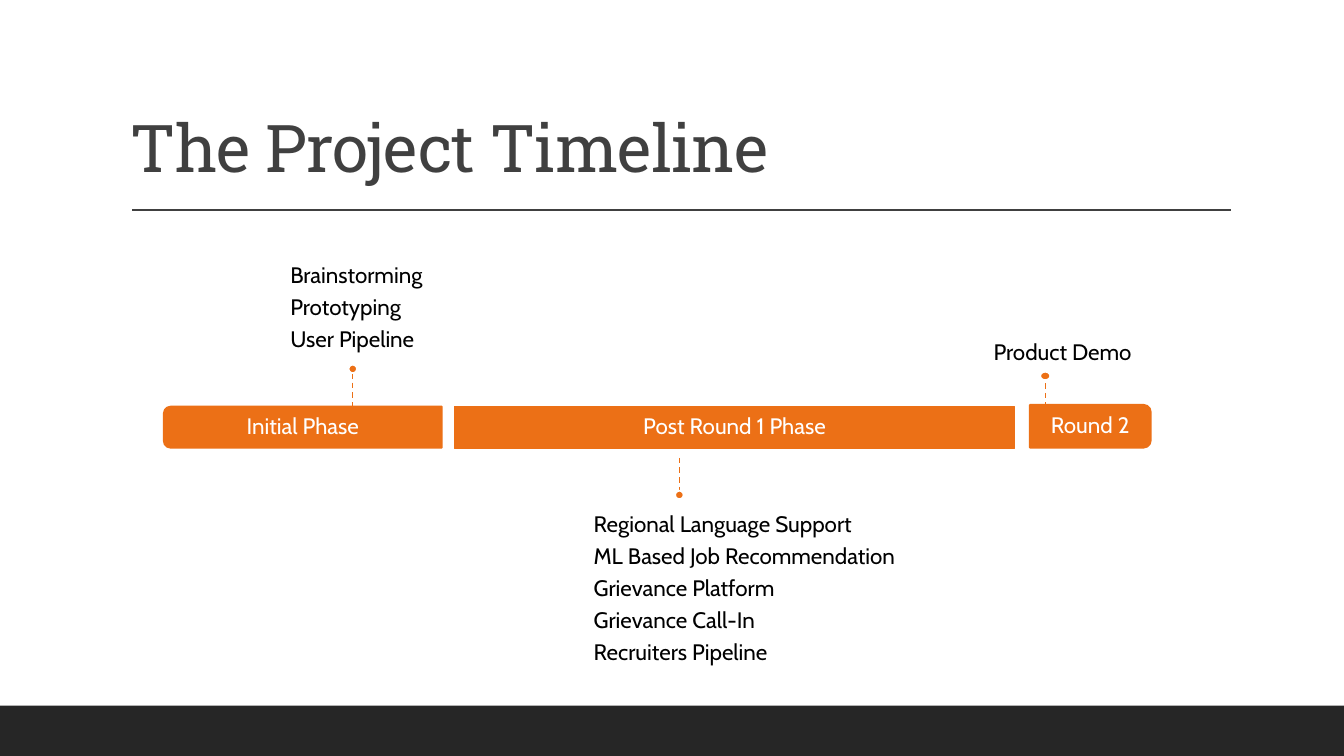
from typing import NamedTuple

from lxml import etree
from pptx import Presentation, util as u
from pptx.dml.color import RGBColor
from pptx.enum import dml, shapes, text
from pptx.oxml.ns import qn

COLS, ROWS = 160, 90
CELL = u.Inches(1 / 12)
ORANGE, DARK, GREY, WHITE, BLACK = "EC7016", "262626", "404040", "FFFFFF", "000000"
KIND, ALIGN, ANCHOR = shapes.MSO_SHAPE, text.PP_ALIGN, text.MSO_ANCHOR
PAD = 1.56


class Box(NamedTuple):
    """Left, top, width and height in grid cells."""
    x: float
    y: float
    w: float
    h: float


class Phase(NamedTuple):
    name: str
    box: Box
    kind: KIND
    turn: int


class Note(NamedTuple):
    lines: list[str]
    box: Box
    align: ALIGN
    above: bool


class Pin(NamedTuple):
    """A dashed stem from top to base, with a dot centred on row dot."""
    x: float
    top: float
    base: float
    dot: float
    width: float


PHASES = [
    Phase("Initial Phase", Box(19.5, 48.4, 33.1, 4.9), KIND.ROUND_2_SAME_RECTANGLE, 270),
    Phase("Post Round 1 Phase", Box(54.1, 48.4, 66.7, 5), KIND.RECTANGLE, 0),
    Phase("Round 2", Box(122.6, 48.2, 14.4, 5.1), KIND.ROUND_2_SAME_RECTANGLE, 90),
]
NOTES = [
    Note(["Brainstorming", "Prototyping", "User Pipeline"],
         Box(34.56, 31, 22, 12.5), ALIGN.LEFT, True),
    Note(["Regional Language Support", "ML Based Job Recommendation",
          "Grievance Platform", "Grievance Call-In", "Recruiters Pipeline"],
         Box(70.68, 59.5, 38, 17.3), ALIGN.LEFT, False),
    Note(["Product Demo"], Box(113.3, 27.84, 26.4, 17.16), ALIGN.CENTER, True),
]
PINS = [
    Pin(42, 44.4, 48.4, 43.92, 1),
    Pin(80.88, 54.5, 58.5, 58.92, 1),
    Pin(124.44, 45.6, 49.6, 44.76, 1.2),
]


def cell(n: float) -> int:
    return round(n * CELL)


def hue(code: str) -> RGBColor:
    return RGBColor.from_string(code)


def shape(slide, kind: KIND, box: Box, fill: str, edge: str | None = None):
    item = slide.shapes.add_shape(kind, *map(cell, box))
    item.shadow.inherit = False
    item.fill.solid()
    item.fill.fore_color.rgb = hue(fill)
    if edge:
        item.line.color.rgb = hue(edge)
        item.line.width = u.Pt(1.25)
    else:
        item.line.fill.background()
    return item


def line(slide, x1: float, y1: float, x2: float, y2: float, color: str):
    item = slide.shapes.add_connector(
        shapes.MSO_CONNECTOR.STRAIGHT, *map(cell, (x1, y1, x2, y2)))
    item.line.color.rgb = hue(color)
    item.line.width = u.Pt(1)
    etree.SubElement(item._element.spPr, qn("a:effectLst"))
    return item


def write(slide, lines: list[str], box: Box, color: str, anchor: ANCHOR,
          align: ALIGN = ALIGN.LEFT, pads: tuple = (0, 0, 0, 0),
          font: str = "Cabin", size: int = 16, after: float = 5.6):
    """Add a text box; pads are left, top, right and bottom in cells."""
    frame = slide.shapes.add_textbox(*map(cell, box)).text_frame
    frame.word_wrap = True
    frame.vertical_anchor = anchor
    (frame.margin_left, frame.margin_top,
     frame.margin_right, frame.margin_bottom) = map(cell, pads)
    frame.text = "\n".join(lines)
    for para in frame.paragraphs:
        para.alignment = align
        para.line_spacing = 0.9
        para.space_after = u.Pt(after)
        para.font.name = font
        para.font.size = u.Pt(size)
        para.font.color.rgb = hue(color)
    return frame


def frame_slide(slide) -> None:
    """Draw the footer band, the title and the rule under it."""
    shape(slide, KIND.RECTANGLE, Box(0, 84, COLS, 6), DARK)
    line(slide, 15.72, 25, 146.5, 25, GREY)
    title = write(slide, ["The Project Timeline"], Box(14.4, 3.72, 132, 19.1), GREY,
                  ANCHOR.BOTTOM, pads=(1.2, 0.6, 1.2, 0.6),
                  font="Roboto Slab", size=47, after=0)
    title.paragraphs[0].runs[0].font._element.set("spc", "-50")


def draw_phase(slide, phase: Phase) -> None:
    x, y, w, h = phase.box
    box = phase.box
    if phase.turn:
        box = Box(x + (w - h) / 2, y + (h - w) / 2, h, w)
    shape(slide, phase.kind, box, ORANGE, ORANGE).rotation = phase.turn
    write(slide, [phase.name], phase.box, WHITE, ANCHOR.MIDDLE, ALIGN.CENTER, (PAD,) * 4)


def draw_note(slide, note: Note) -> None:
    anchor = ANCHOR.BOTTOM if note.above else ANCHOR.TOP
    pads = (0, 0, 0, PAD) if note.above else (0, PAD, 0, 0)
    write(slide, note.lines, note.box, BLACK, anchor, note.align, pads)


def draw_pin(slide, pin: Pin) -> None:
    stem = line(slide, pin.x, pin.top, pin.x, pin.base, ORANGE)
    stem.line.dash_style = dml.MSO_LINE.DASH
    dot = Box(pin.x - pin.width / 2, pin.dot - 0.5, pin.width, 1)
    shape(slide, KIND.OVAL, dot, ORANGE, WHITE)


def main() -> None:
    deck = Presentation()
    deck.slide_width, deck.slide_height = cell(COLS), cell(ROWS)
    slide = deck.slides.add_slide(deck.slide_layouts[6])
    frame_slide(slide)
    for phase in PHASES:
        draw_phase(slide, phase)
    for note in NOTES:
        draw_note(slide, note)
    for pin in PINS:
        draw_pin(slide, pin)
    deck.save("out.pptx")


if __name__ == "__main__":
    main()
